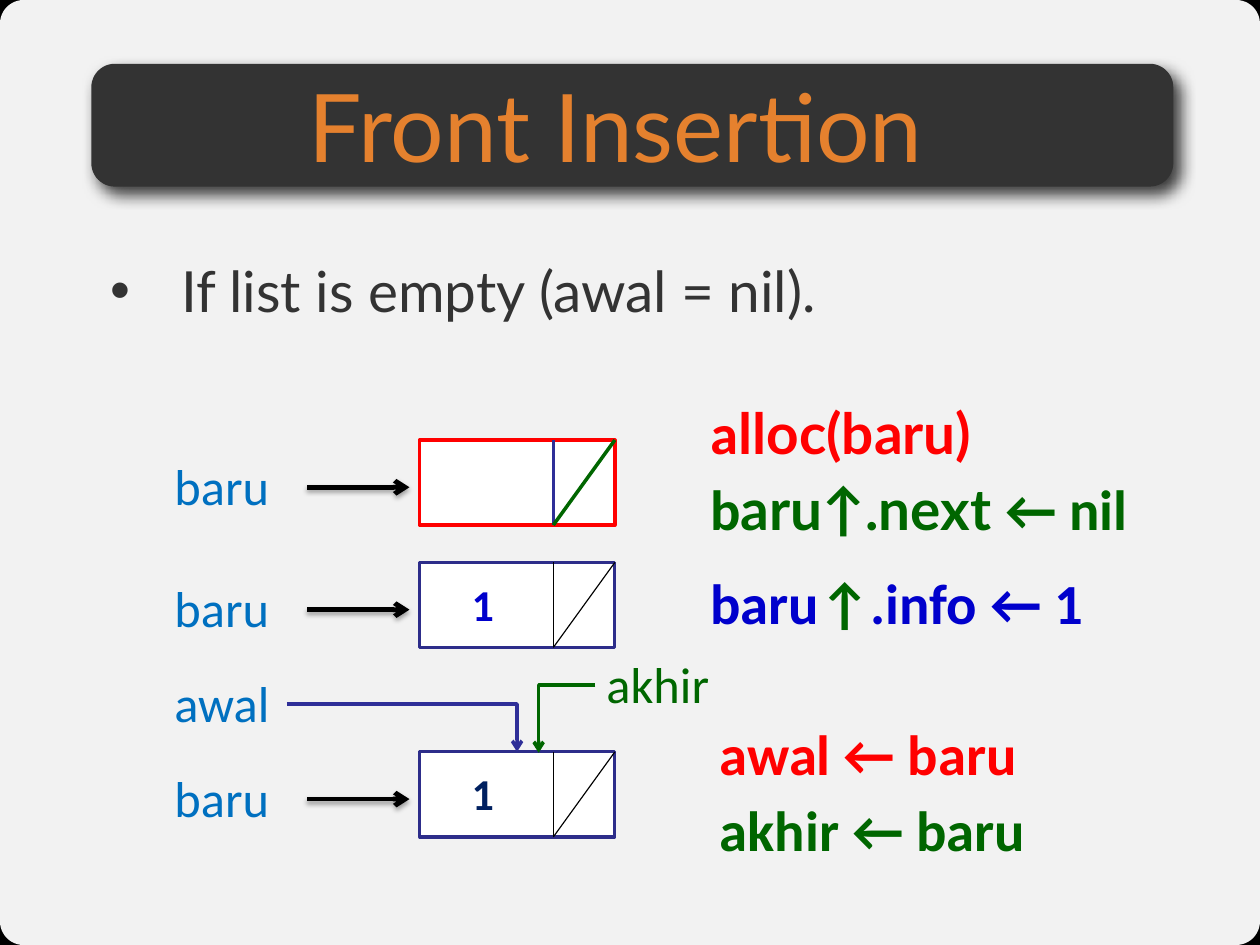
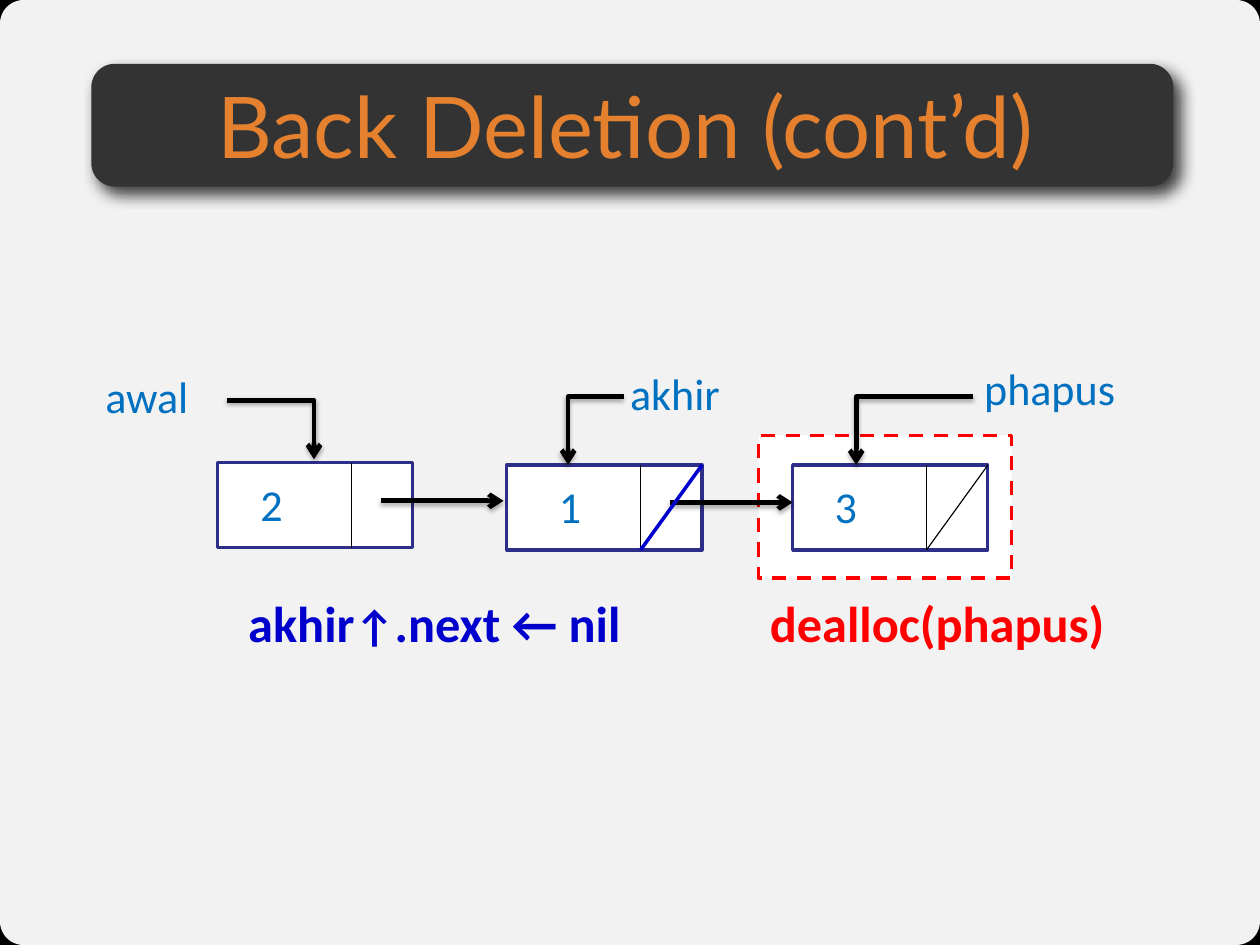
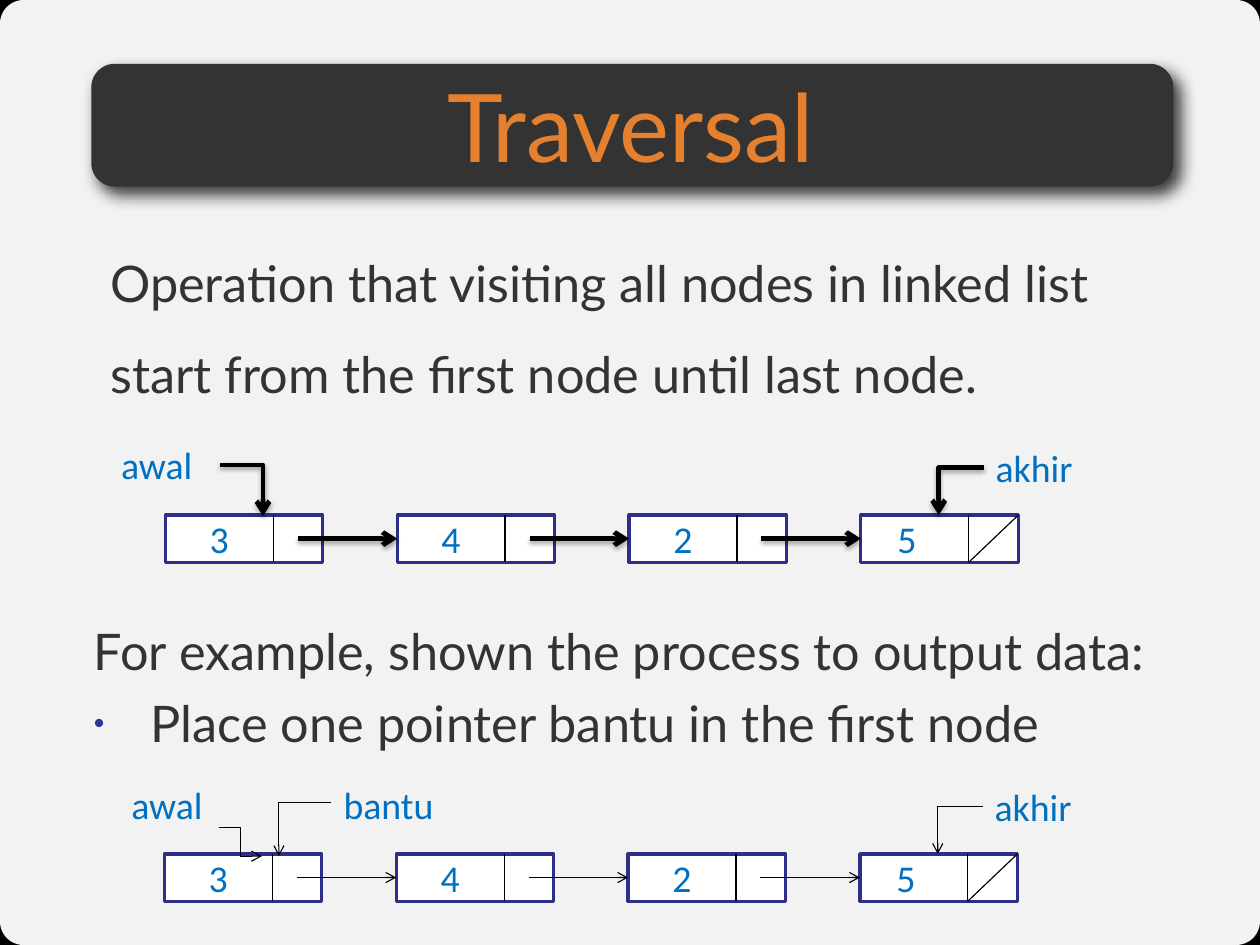
from lxml.etree import SubElement
from pptx import Presentation
from pptx.dml.color import RGBColor
from pptx.enum.dml import MSO_LINE
from pptx.enum.shapes import MSO_CONNECTOR, MSO_SHAPE
from pptx.enum.text import MSO_ANCHOR, MSO_AUTO_SIZE, PP_ALIGN
from pptx.oxml.ns import qn
from pptx.util import Pt

INK, WHITE, BLACK = "333333", "FFFFFF", "000000"
ORANGE, SKY, NAVY = "E5812E", "0070C0", "2D2D8A"
INDIGO, BLUE, RED, GREEN = "2F2F98", "0000CC", "FF0000", "006600"
TEXT, HEADING = "Calibri", "Lato"
TITLE_ONLY = 5
DIVIDER = 0.685  # share of a node's width taken by its info field
# colour, opacity %, blur, distance, direction in degrees
BAND_SHADOW = (BLACK, 75, 10, 6, 51)
ARROW_SHADOW = (BLACK, 35, 3.1, 1.8, 90)


def rgb(value):
    return RGBColor.from_string(value)


def set_shadow(shape, shadow=None):
    """Replace the theme's shadow by the given one, or by none."""
    properties = shape.element.spPr
    effects = properties.find(qn("a:effectLst"))
    if effects is None:
        effects = SubElement(properties, qn("a:effectLst"))
    if shadow:
        colour, opacity, blur, distance, direction = shadow
        outer = SubElement(effects, qn("a:outerShdw"), blurRad=str(Pt(blur)),
                           dist=str(Pt(distance)), dir=str(direction * 60000),
                           algn="tl", rotWithShape="0")
        fill = SubElement(outer, qn("a:srgbClr"), val=colour)
        SubElement(fill, qn("a:alpha"), val=str(opacity * 1000))


def set_bullet(paragraph, indent, colour=None, percent=None):
    properties = paragraph._p.get_or_add_pPr()
    properties.set("marL", str(Pt(indent)))
    properties.set("indent", str(-Pt(indent)))
    if colour:
        SubElement(SubElement(properties, qn("a:buClr")), qn("a:srgbClr"), val=colour)
    if percent:
        SubElement(properties, qn("a:buSzPct"), val=str(percent * 1000))
    SubElement(properties, qn("a:buFont"), typeface="Arial")
    SubElement(properties, qn("a:buChar"), char="•")


class Deck:
    def __init__(self, width, height):
        self.presentation = Presentation()
        self.width, self.height = width, height
        self.presentation.slide_width = Pt(width)
        self.presentation.slide_height = Pt(height)
        background = self.presentation.slide_master.background.fill
        background.solid()
        background.fore_color.rgb = rgb(BLACK)

    def new_slide(self, title, size, title_width):
        layout = self.presentation.slide_layouts[TITLE_ONLY]
        self.slide = self.presentation.slides.add_slide(layout)
        panel = self.box(0, 0, self.width, self.height, WHITE, corner=0.025)
        panel_colour = panel.element.spPr.find(qn("a:solidFill"))[0]
        SubElement(panel_colour, qn("a:alpha"), val="95000")
        band = self.box(58, 40.5, 687, 78, INK, corner=0.192)
        set_shadow(band, BAND_SHADOW)

        heading = self.slide.shapes.title
        band.element.addnext(heading.element)
        heading.left, heading.top = Pt(49), Pt(43)
        heading.width, heading.height = Pt(title_width), Pt(72)
        frame = heading.text_frame
        frame.auto_size = MSO_AUTO_SIZE.NONE
        frame.vertical_anchor = MSO_ANCHOR.MIDDLE
        self.clear_margins(frame)
        frame.paragraphs[0].alignment = PP_ALIGN.CENTER
        self.run(frame.paragraphs[0], title, size, ORANGE, font=HEADING)

    def clear_margins(self, frame):
        frame.margin_left = frame.margin_right = 0
        frame.margin_top = frame.margin_bottom = 0

    def run(self, paragraph, text, size, colour, bold=False, font=TEXT):
        run = paragraph.add_run()
        run.text = text
        run.font.size, run.font.name = Pt(size), font
        run.font.bold = bold
        run.font.color.rgb = rgb(colour)

    def text(self, content, left, top, width, height, size, colour,
             bold=False, font=TEXT):
        """Place a text; content is a string or a list of (text, changes)."""
        shape = self.slide.shapes.add_textbox(Pt(left), Pt(top), Pt(width), Pt(height))
        frame = shape.text_frame
        frame.word_wrap = True
        runs = [(content, {})] if isinstance(content, str) else content
        for text, changes in runs:
            style = dict(size=size, colour=colour, bold=bold, font=font)
            self.run(frame.paragraphs[0], text, **{**style, **changes})
        return frame

    def body(self, content, size):
        frame = self.text(content, 70, 141, 688, 402, size, INK, font=HEADING)
        self.clear_margins(frame)
        frame.paragraphs[0].line_spacing = 1.5
        return frame.paragraphs[0]

    def box(self, left, top, width, height, fill, line=None, weight=2,
            corner=None, dashed=False):
        kind = MSO_SHAPE.RECTANGLE if corner is None else MSO_SHAPE.ROUNDED_RECTANGLE
        shape = self.slide.shapes.add_shape(kind, Pt(left), Pt(top), Pt(width), Pt(height))
        if corner is not None:
            shape.adjustments[0] = corner
        shape.shadow.inherit = False
        shape.fill.solid()
        shape.fill.fore_color.rgb = rgb(fill)
        if line:
            shape.line.color.rgb = rgb(line)
            shape.line.width = Pt(weight)
        else:
            shape.line.fill.background()
        if dashed:
            shape.line.dash_style = MSO_LINE.DASH
        return shape

    def line(self, start, end, colour=BLACK, weight=0.75, arrow=False,
             shadow=None, kind=MSO_CONNECTOR.STRAIGHT):
        connector = self.slide.shapes.add_connector(
            kind, Pt(start[0]), Pt(start[1]), Pt(end[0]), Pt(end[1]))
        connector.line.color.rgb = rgb(colour)
        connector.line.width = Pt(weight)
        set_shadow(connector, shadow)
        if arrow:
            SubElement(connector.line._get_or_add_ln(), qn("a:tailEnd"), type="arrow")
        return connector

    def arrow(self, start, end, weight=3, shadow=ARROW_SHADOW):
        return self.line(start, end, BLACK, weight, True, shadow)

    def elbow(self, start, end, colour=BLACK, weight=3, shadow=ARROW_SHADOW,
              corners=1):
        """Arrow that leaves sideways; one corner makes it arrive from above."""
        connector = self.line(start, end, colour, weight, True, shadow,
                              MSO_CONNECTOR.ELBOW)
        properties = connector.element.spPr
        if corners == 1:
            properties.find(qn("a:prstGeom")).set("prst", "bentConnector2")
        if end[0] < start[0]:  # a mirror image, as half a turn plus a vertical flip
            transform = properties.find(qn("a:xfrm"))
            del transform.attrib["flipH"]
            transform.set("rot", "10800000")
            transform.set("flipV", "1")

    def node(self, left, top, width=124, height=54, line=NAVY, weight=2,
             divider=BLACK, divider_weight=0.75):
        shape = self.box(left, top, width, height, WHITE, line, weight)
        middle = left + DIVIDER * width
        self.line((middle, top), (middle, top + height), divider, divider_weight)
        return shape

    def nil(self, node, colour=BLACK, weight=0.75):
        """Strike through the next field of a node."""
        left, top, width, height = (
            length.pt for length in (node.left, node.top, node.width, node.height))
        self.line((left + width, top), (left + DIVIDER * width, top + height),
                  colour, weight)

    def chain(self, left, top, weight, shadow):
        """Four linked nodes, with the pointer akhir at the last."""
        step = 147.2
        nodes = [self.node(left + step * i, top, 100, 30) for i in range(4)]
        self.nil(nodes[-1])
        for i, value in enumerate("3425"):
            offset = 16 if i == 3 else 21
            self.text(value, left + step * i + offset, top - 3.3, 37, 36, 24, SKY)
        for i, target in enumerate(nodes[1:]):
            x = left + step * i
            link = self.arrow((x + 84, top + 15), (x + step, top + 15), weight, shadow)
            link.end_connect(target, 1)
        self.text("akhir", left + 520, top - 48.3, 81, 36, 24, SKY)
        self.elbow((left + 520, top - 30), (left + 491, top),
                   weight=weight, shadow=shadow)


def front_insertion(deck):
    deck.new_slide("Front Insertion", 60, 684)
    set_bullet(deck.body("If list is empty (awal = nil).", 36), 45)

    left = 266.4
    rows = (
        (279.4, None, None, dict(line=RED, weight=2.25, divider=INDIGO, divider_weight=2.25),
         dict(colour=GREEN, weight=2.25)),
        (357.1, "1", BLUE, {}, {}),
        (477.4, "1", "002060", {}, {}),
    )
    for top, value, colour, node_style, nil_style in rows:
        deck.nil(deck.node(left, top, **node_style), **nil_style)
        deck.text("baru", 103.7, top + 5.8, 91, 46, 32, SKY)
        deck.arrow((195, top + 30), (260, top + 30))
        if value:
            deck.text(value, left + 26, top + 6, 45, 41, 28, colour, bold=True)

    deck.text("awal", 103.7, 423.4, 91, 46, 32, SKY)
    deck.text("akhir", 378, 411, 91, 46, 32, GREEN)
    deck.elbow((182.2, 447), (328.3, 477.4), INDIGO, 2.25, None)
    deck.elbow((378, 435), (342, 478), GREEN, 2.25, None)

    lato = dict(font=HEADING)
    statements = (
        ([("a", {}), ("lloc(baru)", lato)], 444, 249, RED),
        ([("b", {}), ("aru↑.next ", lato), ("← nil", {})], 444, 297.4, GREEN),
        ([("baru", {}), ("↑", dict(colour=GREEN)), (".info ← 1", {})], 444, 357, BLUE),
        ("awal ← baru", 450, 453, RED),
        ("akhir ← baru", 450, 501, GREEN),
    )
    for content, x, top, colour in statements:
        deck.text(content, x, top, 330, 54, 36, colour, bold=True)


def back_deletion(deck):
    deck.new_slide("Back Deletion (cont’d)", 54, 696)
    deck.box(481.7, 276.5, 160.6, 90.7, WHITE, RED, 2.25, dashed=True)
    nodes = []
    for value, left, top, offset in (("2", 138.2, 293.8, 20),
                                     ("1", 321.8, 295.2, 26),
                                     ("3", 503.3, 295.2, 19.5)):
        nodes.append(deck.node(left, top))
        deck.text(value, left + offset, top + 5.8, 45, 41, 28, SKY)
    deck.nil(nodes[2])

    for name, left, top in (("awal", 59.8, 231), ("akhir", 393, 229), ("phapus", 617.8, 226)):
        deck.text(name, left, top, 117, 41, 28, SKY)
    for start, end in (((144, 254.2), (199.4, 291.6)),
                       ((396, 252), (360.7, 295.2)),
                       ((617.8, 252), (543.6, 295.2))):
        deck.elbow(start, end)
    deck.arrow((242, 318), (319.7, 318))
    deck.arrow((425.5, 319), (503.3, 319))
    deck.nil(nodes[1], BLUE, 2.25)

    deck.text([("akhir", {}), ("↑", dict(size=28)), (".next ← nil", {})],
              150.5, 372.2, 286, 46, 32, BLUE, bold=True)
    deck.text("dealloc(phapus)", 481.7, 372.2, 276, 46, 32, RED, bold=True)


def traversal(deck):
    deck.new_slide("Traversal", 60, 703)
    deck.body("Operation that visiting all nodes in linked list start from "
              "the first node until last node.", 32)
    deck.chain(105, 327, 3, ARROW_SHADOW)
    deck.text("awal", 69.8, 277.2, 70, 36, 24, SKY)
    deck.elbow((139.7, 295.2), (167, 327.6))

    frame = deck.text("For example, shown the process to output data:",
                      52.6, 382.3, 700, 94, 32, INK, font=HEADING)
    step = frame.add_paragraph()
    deck.run(step, "Place one pointer bantu in the first node", 32, INK, font=HEADING)
    for paragraph in frame.paragraphs:
        paragraph.alignment = PP_ALIGN.JUSTIFY
        paragraph.line_spacing = 1.2
    set_bullet(step, 36, "333399", 60)

    thin = dict(weight=0.75, shadow=None)
    deck.chain(104.4, 542.2, **thin)
    deck.text("awal", 76.3, 492.5, 63, 36, 24, SKY)
    deck.elbow((139, 525.6), (166.3, 543.6), corners=2, **thin)
    deck.text("bantu", 211, 492.5, 79, 36, 24, SKY)
    deck.elbow((210.2, 509.8), (177.1, 543.6), **thin)


def main():
    deck = Deck(800, 600)
    front_insertion(deck)
    back_deletion(deck)
    traversal(deck)
    deck.presentation.save("out.pptx")


if __name__ == "__main__":
    main()
